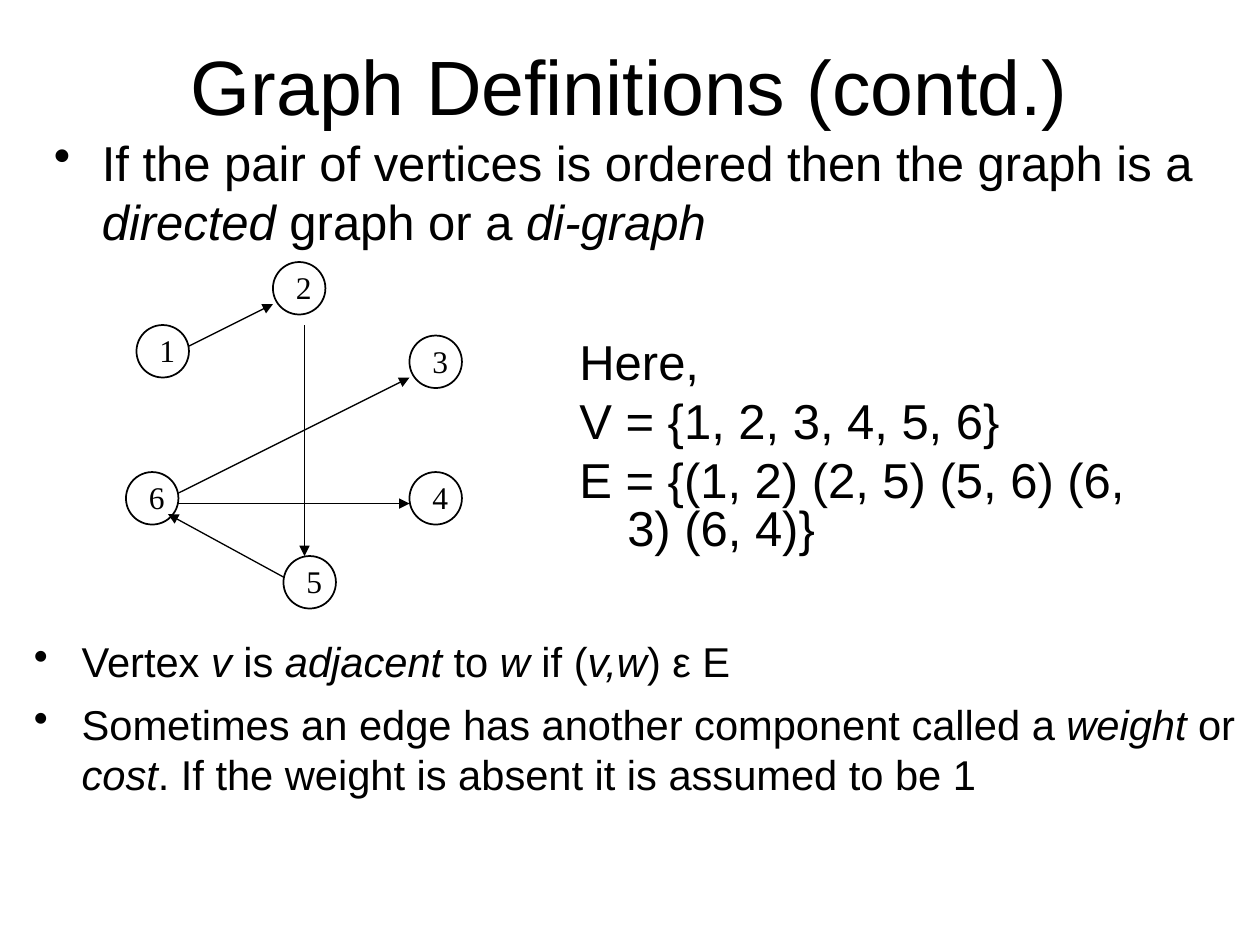
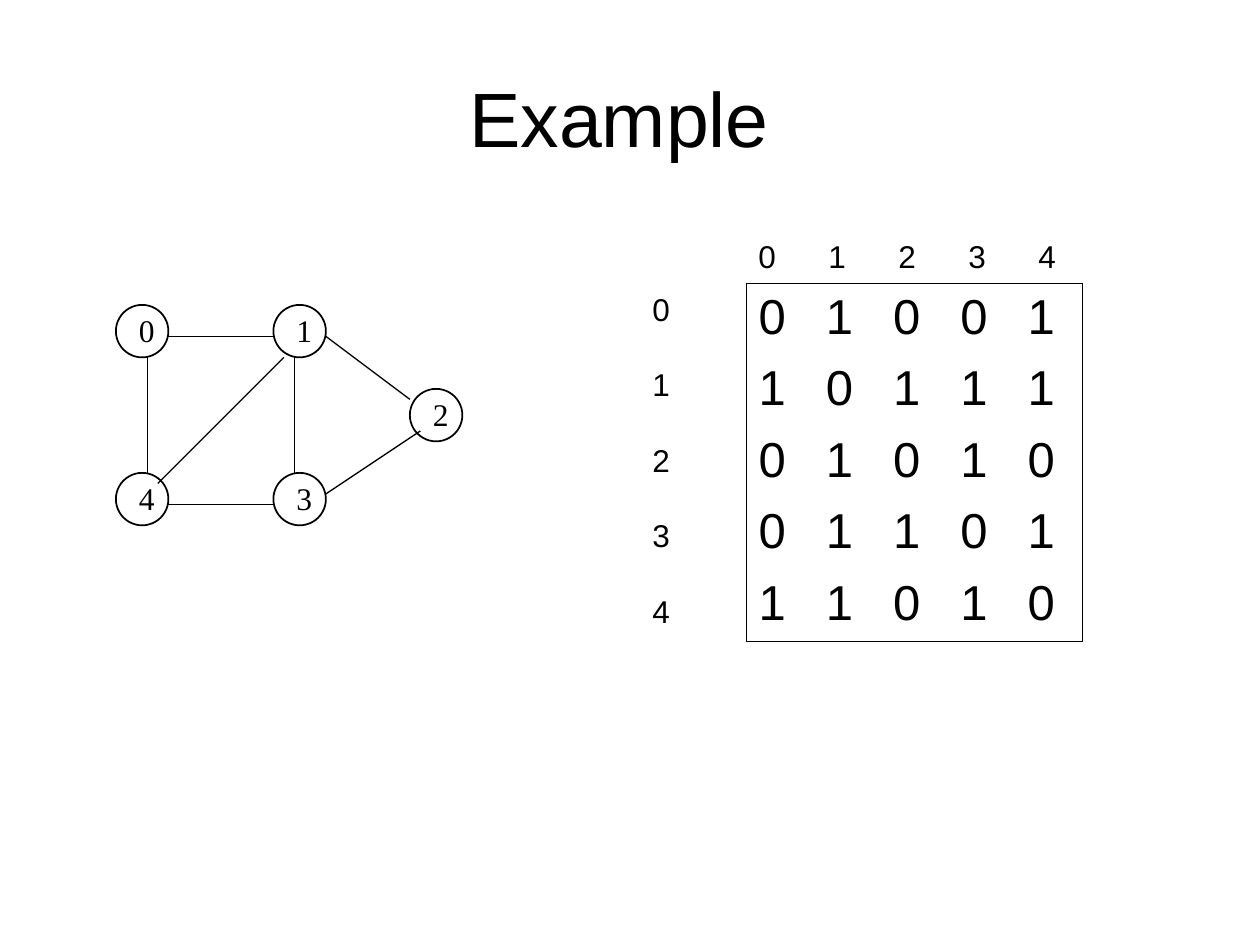
from lxml import etree
from pptx import Presentation
from pptx import util as u
from pptx.dml.color import RGBColor
from pptx.enum import shapes as kinds, text as t
from pptx.oxml.ns import qn

INK = "000000"
SANS, SERIF = "Arial", "Times New Roman"
GRID = 1 / 12   # graph drawings sit on a grid of twelfths of an inch
NODE = 5        # node diameter in grid steps
HANG = 0.38     # hanging indent of body text


def color(hex_code):
    return RGBColor.from_string(hex_code)


def style(paragraph, size, font=SANS):
    paragraph.font.size = u.Pt(size)
    paragraph.font.name = font
    paragraph.font.color.rgb = color(INK)


def fill_text(frame, lines, size, font=SANS):
    """Write the lines; parts between asterisks are italic."""
    frame.word_wrap = True
    for i, line in enumerate(lines):
        paragraph = frame.paragraphs[0] if i == 0 else frame.add_paragraph()
        style(paragraph, size, font)
        for j, part in enumerate(line.split("*")):
            if part:
                run = paragraph.add_run()
                run.text = part
                if j % 2:
                    run.font.italic = True
    return frame


def add_text(parent, box, lines, size, font=SANS):
    frame = parent.shapes.add_textbox(*map(u.Inches, box)).text_frame
    return fill_text(frame, lines, size, font)


def add_title(slide, box, title):
    frame = add_text(slide, box, [title], 44)
    frame.vertical_anchor = t.MSO_ANCHOR.MIDDLE
    frame.paragraphs[0].alignment = t.PP_ALIGN.CENTER


def add_body(slide, box, lines, size, bullet=True, spacing=None):
    for paragraph in add_text(slide, box, lines, size).paragraphs:
        paragraph.space_before = u.Pt(7)
        if spacing:
            paragraph.line_spacing = spacing
        props = paragraph._p.get_or_add_pPr()
        props.set("marL", str(u.Inches(HANG)))
        props.set("indent", str(-u.Inches(HANG)))
        if bullet:
            mark = etree.Element(qn("a:buChar"), char="•")
            props.insert_element_before(mark, "a:tabLst", "a:defRPr", "a:extLst")


def add_graph(slide, left, top, nodes, edges, directed=False):
    """Draw nodes and edges, given in grid steps from the left and top."""
    group = slide.shapes.add_group_shape()

    def place(x, y):
        return left + x * GRID, top + y * GRID

    for label, corner in nodes.items():
        x, y = place(*corner)
        circle = group.shapes.add_shape(
            kinds.MSO_SHAPE.OVAL, *map(u.Inches, (x, y, NODE * GRID, NODE * GRID)))
        circle.shadow.inherit = False
        circle.fill.background()
        circle.line.color.rgb = color(INK)
        circle.line.width = u.Pt(1)
        add_text(group, (x + GRID, y, 4 * GRID, 0.4), [label], 18, SERIF)

    for start, end in edges:
        edge = group.shapes.add_connector(
            kinds.MSO_CONNECTOR.STRAIGHT,
            *map(u.Inches, place(*start) + place(*end)))
        edge.line.color.rgb = color(INK)
        edge.line.width = u.Pt(0.75)
        if directed:
            etree.SubElement(edge.line._get_or_add_ln(), qn("a:tailEnd"), type="triangle")
        etree.SubElement(edge._element.spPr, qn("a:effectLst"))


def set_borders(cell, drawn):
    """Draw the named sides (L, R, T, B) and clear the others."""
    props = cell._tc.get_or_add_tcPr()
    for side in "LRTB":
        line = etree.SubElement(props, qn(f"a:ln{side}"), w=str(u.Pt(0.45)))
        if side in drawn:
            solid = etree.SubElement(line, qn("a:solidFill"))
            etree.SubElement(solid, qn("a:srgbClr"), val=INK)
        else:
            etree.SubElement(line, qn("a:noFill"))


def add_matrix(slide, left, top, rows):
    """Adjacency matrix with its column and row labels."""
    size = len(rows)
    last = size - 1
    width, height = 2.67, 2.84
    table = slide.shapes.add_table(
        size, size, *map(u.Inches, (left, top, width, height))).table
    table.first_row = table.horz_banding = False
    for r, row in enumerate(rows):
        for c, value in enumerate(row):
            cell = table.cell(r, c)
            fill_text(cell.text_frame, [value], 28)
            cell.text_frame.paragraphs[0].space_before = u.Pt(7)
            sides = {"L": c == 0, "R": c == last, "T": r == 0, "B": r == last}
            set_borders(cell, [side for side, outer in sides.items() if outer])
            cell.fill.background()

    labels = [str(i) for i in range(size)]

    # Row labels, two text lines apart
    for paragraph in add_text(slide, (left - 0.84, top, 0.44, 2.8), labels, 18).paragraphs:
        paragraph.line_spacing = u.Pt(21.6)
        if paragraph.text != labels[0]:
            paragraph.space_before = u.Pt(21.6)

    # Column labels on even tab stops
    heading = add_text(slide, (left, top - 0.42, 2.75, 0.4), ["\t".join(labels)], 18)
    props = heading.paragraphs[0]._p.get_or_add_pPr()
    stops = etree.Element(qn("a:tabLst"))
    for i in range(1, size):
        etree.SubElement(stops, qn("a:tab"), pos=str(u.Inches(i * 5 / 9)), algn="l")
    props.insert_element_before(stops, "a:defRPr", "a:extLst")


def build_definitions(slide):
    add_title(slide, (0.5, 0.17, 9, 1), "Graph Definitions (contd.)")
    add_body(slide, (0.33, 1, 9.42, 1.25), [
        "If the pair of vertices is ordered then the graph is a "
        "*directed* graph or a *di-graph*"], 28)
    add_graph(
        slide, 1, 2.08,
        {"1": (1, 6), "2": (14, 0), "5": (15, 28),
         "6": (0, 20), "4": (27, 20), "3": (27, 7)},
        [((6, 8), (14, 4)), ((17, 6), (17, 28)), ((5, 22), (27, 11)),
         ((5, 23), (27, 23)), ((15, 30), (4, 24))],
        directed=True)
    add_body(slide, (4.5, 2.67, 4.58, 1.92), [
        "Here,",
        "V = {1, 2, 3, 4, 5, 6}",
        "E = {(1, 2) (2, 5) (5, 6) (6, 3) (6, 4)}"], 28, bullet=False, spacing=0.8)
    add_body(slide, (0.17, 5, 9.83, 1.83), [
        "Vertex *v* is *adjacent* to *w* if (*v,w*) ε E",
        "Sometimes an edge has another component called a *weight* or *cost*. "
        "If the weight is absent it is assumed to be 1"], 23.8)


def build_example(slide):
    add_title(slide, (0.5, 0.3, 9, 1.25), "Example ")
    add_graph(
        slide, 0.92, 2.42,
        {"0": (0, 0), "1": (15, 0), "4": (0, 16), "3": (15, 16), "2": (28, 8)},
        [((5, 3), (15, 3)), ((20, 3), (28, 9)), ((29, 12), (20, 18)),
         ((15, 19), (5, 19)), ((3, 5), (3, 16)), ((16, 5), (4, 17)),
         ((17, 5), (17, 16))])
    add_matrix(slide, 5.92, 2.25, ["01001", "10111", "01010", "01101", "11010"])


def main():
    deck = Presentation()
    deck.slide_width, deck.slide_height = u.Inches(10), u.Inches(7.5)
    for build in (build_definitions, build_example):
        build(deck.slides.add_slide(deck.slide_layouts[6]))
    deck.save("out.pptx")


if __name__ == "__main__":
    main()
